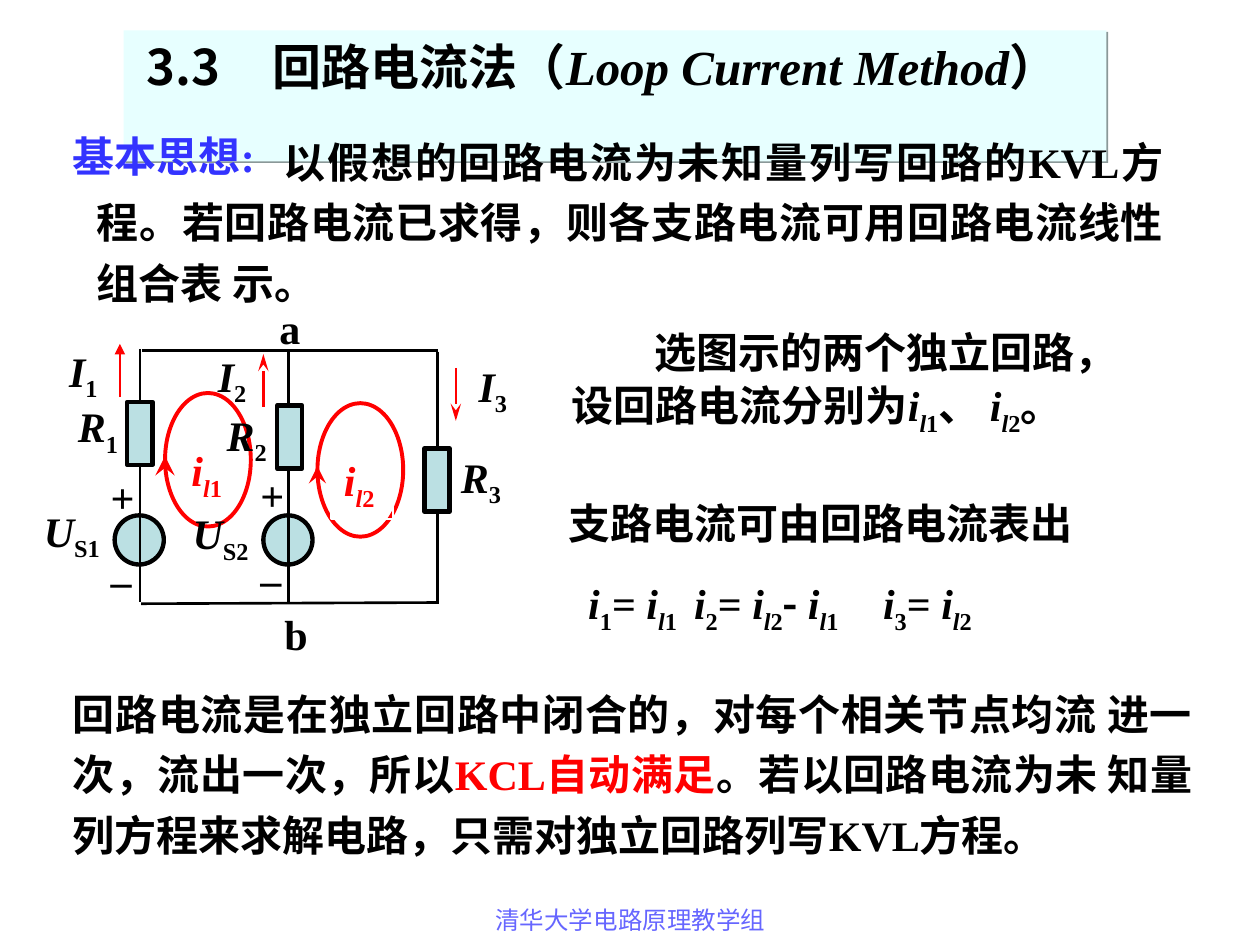
import pptx
import pptx.util
import pptx.dml.color
import pptx.enum.shapes
import pptx.enum.text
import pptx.oxml.ns
from lxml import etree

Pt = pptx.util.Pt
SHAPE = pptx.enum.shapes.MSO_SHAPE
ALIGN = pptx.enum.text.PP_ALIGN
SERIF, SANS = "Times New Roman", "Noto Sans CJK SC"
BLACK, RED, WHITE, BLUE, PALE = "000000", "FF0000", "FFFFFF", "3333FF", "BBE0E3"


# Content: a run is (text, style); i italic, s subscript, n sans, r red
def symbol(letter, index):
    return [(letter, "i"), (index, "s")]


def loop_current(index):
    return [("i", "i"), ("l", "is"), (index, "s")]


title_runs = [("3.3\t回路电流法（", "n"), ("Loop Current Method", "i"), ("）", "n")]
idea = "以假想的回路电流为未知量列写回路的KVL方程。若回路电流已求得，则各支路电流可用回路电流线性组合表 示。"
choice = [("选图示的两个独立回路，设回路电流分别为", ""), *loop_current("1"),
          ("、 ", ""), *loop_current("2"), ("。", "")]
equations = [*symbol("i", "1"), ("= ", ""), *loop_current("1"), ("\t", ""),
             *symbol("i", "2"), ("= ", ""), *loop_current("2"), ("- ", "n"),
             *loop_current("1"), ("\t", ""),
             *symbol("i", "3"), ("= ", ""), *loop_current("2")]
conclusion = [("回路电流是在独立回路中闭合的，对每个相关节点均流 进一次，流出一次，所以", ""),
              ("KCL自动满足", "r"),
              ("。若以回路电流为未 知量列方程来求解电路，只需对独立回路列写KVL方程。", "")]

# Circuit: positions in points
loops = [("1", 94.3, 224.6, 2.25), ("2", 181.4, 230.4, 1.5)]
sources = [(65.5, 294.5), (150.5, 294.5)]
wires = [(80, 344, 80, 199.5), (165, 345, 165, 201), (250, 201, 250, 345),
         (80.6, 345, 250.5, 344.3), (81, 200.3, 250.5, 200.3)]
resistors = [(72.7, 229.7), (158.4, 231.8), (242.6, 256.3)]
currents = [(68.5, 227, 68.5, 196.5, "triangle"), (150.5, 232.5, 150.5, 202.3, "stealth"),
            (260.5, 210.2, 260.5, 240.5, "stealth")]
symbols = [("I", "1", 32.4, 193.7), ("I", "2", 117.4, 196.6), ("I", "3", 266.4, 202.3),
           ("R", "1", 37.4, 225.4), ("R", "2", 122.4, 230.4), ("R", "3", 256.3, 254.2),
           ("U", "S1", 18, 285.1), ("U", "S2", 103, 286.6)]
marks = [("a", 152.6, 169.2), ("b", 155.5, 344.2), ("+", 56.2, 265.7), ("–", 56.2, 313.2),
         ("+", 141.8, 265), ("–", 141.8, 312.5)]


def rgb(value):
    return pptx.dml.color.RGBColor.from_string(value)


def child(parent, tag, **attributes):
    return etree.SubElement(parent, pptx.oxml.ns.qn(tag), attributes)


def write(paragraph, runs, size=24, color=BLACK, bold=True, align=ALIGN.LEFT,
          indent=0, tabs=(), line=None, before=0):
    props = paragraph._p.get_or_add_pPr()
    props.set("indent", str(Pt(indent)))
    if tabs:
        stops = child(props, "a:tabLst")
        for stop in tabs:
            child(stops, "a:tab", pos=str(Pt(stop)), algn="l")
    paragraph.alignment = align
    paragraph.space_before = Pt(before)
    if line:
        paragraph.line_spacing = Pt(line)
    for text, style in [(runs, "")] if isinstance(runs, str) else runs:
        run = paragraph.add_run()
        run.text = text
        font = run.font
        font.size, font.bold, font.italic = Pt(size), bold, "i" in style
        font.color.rgb = rgb(RED if "r" in style else color)
        font.name = SANS if "n" in style else SERIF
        props = font._element
        child(props, "a:ea", typeface=SANS)
        if "s" in style:
            props.set("baseline", "-25000")


def text_box(runs, left, top, width, height, **style):
    box = slide.shapes.add_textbox(Pt(left), Pt(top), Pt(width), Pt(height))
    box.text_frame.word_wrap = True
    write(box.text_frame.paragraphs[0], runs, **style)
    return box


def outline(preset, left, top, width, height, fill=None, color=BLACK, weight=2.5):
    shape = slide.shapes.add_shape(preset, Pt(left), Pt(top), Pt(width), Pt(height))
    shape.shadow.inherit = False
    if fill:
        shape.fill.solid()
        shape.fill.fore_color.rgb = rgb(fill)
    else:
        shape.fill.background()
    shape.line.color.rgb = rgb(color)
    shape.line.width = Pt(weight)


def wire(x1, y1, x2, y2, color=BLACK, weight=1.5, head=None, head_width="med", head_length="med"):
    line = slide.shapes.add_connector(pptx.enum.shapes.MSO_CONNECTOR.STRAIGHT,
                                      Pt(x1), Pt(y1), Pt(x2), Pt(y2))
    line.line.color.rgb = rgb(color)
    line.line.width = Pt(weight)
    if head:
        child(line.line._get_or_add_ln(), "a:tailEnd", type=head, w=head_width, len=head_length)
    child(line._element.spPr, "a:effectLst")


deck = pptx.Presentation()
deck.slide_width, deck.slide_height = Pt(720), Pt(540)
slide = deck.slides.add_slide(deck.slide_layouts[5])

# Title band with a hard shadow
title = slide.shapes.title
title.left, title.top, title.width, title.height = Pt(70.6), Pt(17.3), Pt(561.6), Pt(74.9)
title.fill.solid()
title.fill.fore_color.rgb = rgb("E7FFFF")
effects = child(title._element.spPr, "a:effectLst")
shadow = child(effects, "a:outerShdw", dist=str(Pt(1.4)), dir="2700000", algn="ctr", rotWithShape="0")
child(shadow, "a:srgbClr", val="8A9898")
title.text_frame.vertical_anchor = pptx.enum.text.MSO_ANCHOR.TOP
title.text_frame.margin_left = Pt(13)
write(title.text_frame.paragraphs[0], title_runs, size=28, tabs=[62])

# Explanations
text_box("基本思想:", 34.6, 71.3, 139.7, 36, color=BLUE)
text_box(idea, 48.2, 68.4, 623.5, 110.9, align=ALIGN.JUSTIFY, indent=107, line=34.6)
text_box(conclusion, 34.6, 383.8, 653.8, 110.9, align=ALIGN.JUSTIFY, line=34.6)

# Loop currents
for index, left, top, weight in loops:
    outline(SHAPE.OVAL, left, top, 49, 76.3, color=RED, weight=2.25)
    label = text_box(loop_current(index), left + 8, top + 26, 35.3, 40.3, color=RED)
    if index == "2":
        label.line.color.rgb = rgb(WHITE)
        label.line.width = Pt(1.5)
    wire(left, top + 40, left, top + 36, RED, weight, "stealth", "lg", "lg")

text_box(choice, 319.7, 177.1, 334.8, 81.4, indent=47, line=34.6)
branch = text_box("支路电流可由回路电流表出", 317.5, 275, 313.2, 128.9, line=34.6)
write(branch.text_frame.add_paragraph(), equations, indent=11.5, tabs=[94, 213],
      line=34.6, before=15)

# Circuit
for left, top in sources:
    outline(SHAPE.OVAL, left, top, 28.1, 28.1, PALE)
for ends in wires:
    wire(*ends)
for left, top in resistors:
    outline(SHAPE.RECTANGLE, left, top, 14.4, 36, PALE)
for *ends, head in currents:
    wire(*ends, RED, head=head, head_length="lg" if head == "stealth" else "med")
for letter, index, left, top in symbols:
    text_box(symbol(letter, index), left, top, 54, 40.3)
for mark, left, top in marks:
    text_box(mark, left, top, 28, 36)

# Footer
text_box("清华大学电路原理教学组", 246.2, 513.4, 228.2, 26, size=14, color="6666FF",
         bold=False, align=ALIGN.CENTER)

deck.save("out.pptx")
